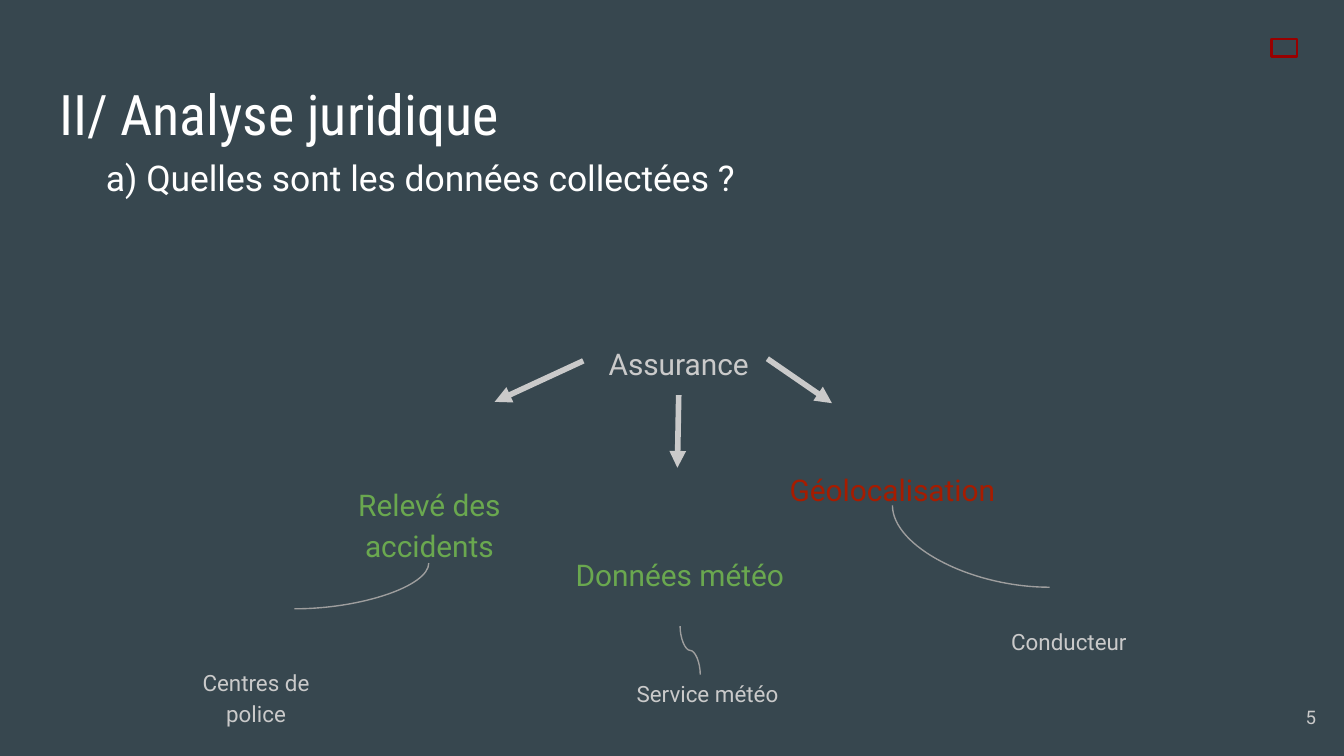
from lxml.etree import SubElement
from pptx import Presentation
from pptx.dml.color import RGBColor
from pptx.enum.shapes import MSO_CONNECTOR as LINE, MSO_SHAPE as SHAPE
from pptx.enum.text import MSO_ANCHOR as ANCHOR, MSO_AUTO_SIZE as FIT, PP_ALIGN as ALIGN
from pptx.oxml.ns import qn
from pptx.util import Pt

GREY, GREEN, RED, WHITE = "CACACA", "6AA84F", "A61C00", "FFFFFF"
MARGIN = 7.2


def rgb(color):
    return RGBColor.from_string(color)


def write(sp, text, size, color, align, font="Roboto", anchor=ANCHOR.TOP):
    tf = sp.text_frame
    tf.text = text
    tf.word_wrap = True
    tf.auto_size = FIT.NONE
    tf.vertical_anchor = anchor
    tf.margin_left = tf.margin_right = tf.margin_top = tf.margin_bottom = Pt(MARGIN)
    p = tf.paragraphs[0]
    p.alignment = align
    p.font.name, p.font.size, p.font.color.rgb = font, Pt(size), rgb(color)
    return p


prs = Presentation()
prs.slide_width, prs.slide_height = Pt(720), Pt(405)
s = prs.slides.add_slide(prs.slide_layouts[5])
s.background.fill.solid()
s.background.fill.fore_color.rgb = rgb("37474F")

# Title
title = s.shapes.title
title.left, title.top, title.width, title.height = Pt(24.5), Pt(35.3), Pt(671), Pt(45.4)
write(title, "II/ Analyse juridique", 30, WHITE, ALIGN.LEFT, "Roboto Condensed")

# Subtitle and slide number
subtitle = s.shapes.add_textbox(Pt(49.7), Pt(76.3), Pt(434.2), Pt(63.4))
write(subtitle, "a) Quelles sont les données collectées ?", 19, WHITE, ALIGN.LEFT)
number = s.shapes.add_textbox(Pt(668.9), Pt(368.6), Pt(43.2), Pt(31))
write(number, "5", 10, GREY, ALIGN.RIGHT, anchor=ANCHOR.MIDDLE)

# Diagram labels: left, top, width, height
labels = [
    ("Assurance", 16, GREY, 312.5, 175, 102.2, 36.7),
    ("Relevé des accidents", 16, GREEN, 164.9, 250.6, 130.3, 51.1),
    ("Géolocalisation", 16, RED, 411.1, 242.6, 133.9, 28.8),
    ("Données météo ", 16, GREEN, 301, 288, 130.3, 43.9),
    ("Conducteur", 12, GREY, 527, 326.9, 91.4, 36.7),
    ("Centres de police", 12, GREY, 92.9, 349.2, 88.6, 36.7),
    ("Service météo", 12, GREY, 325.4, 355, 107.3, 55.4),
]
nodes = {}
for text, size, color, *box in labels:
    sp = s.shapes.add_textbox(*map(Pt, box))
    p = write(sp, text, size, color, ALIGN.CENTER)
    p.line_spacing = 1.15
    p.space_after = Pt(16)
    nodes[text] = sp

# Arrows from the insurer to its data: ends, joined side
lines = []
arrows = [
    ((312.5, 193.3, 265, 215.3), 1),
    ((411.1, 192.2, 445.7, 216), None),
    ((363.6, 211.7, 362.9, 250.6), 2),
]
for ends, side in arrows:
    cxn = s.shapes.add_connector(LINE.STRAIGHT, *map(Pt, ends))
    if side is not None:
        cxn.begin_connect(nodes["Assurance"], side)
    cxn.line.color.rgb, cxn.line.width = rgb(GREY), Pt(3)
    SubElement(cxn.line._get_or_add_ln(), qn("a:tailEnd"), type="triangle")
    lines.append(cxn)

# Curves from the data to their sources, turned so that they leave downwards
curves = [
    (478.1, 270.7, 562.3, 314.6, "curvedConnector2"),
    (229.7, 301.7, 157.7, 326.2, "curvedConnector2"),
    (364.3, 335.5, 375.1, 361.4, "curvedConnector3"),
]
for x1, y1, x2, y2, preset in curves:
    w, h = y2 - y1, abs(x2 - x1)
    left, top = (x1 + x2 - w) / 2, (y1 + y2 - h) / 2
    cxn = s.shapes.add_connector(LINE.CURVE, Pt(left), Pt(top), Pt(left + w), Pt(top + h))
    cxn.line.color.rgb, cxn.line.width = rgb("9E9E9E"), Pt(0.75)
    spPr = cxn._element.spPr
    spPr.find(qn("a:prstGeom")).set("prst", preset)
    xfrm = spPr.find(qn("a:xfrm"))
    if x2 > x1:
        xfrm.set("rot", str(270 * 60000))
        xfrm.set("flipH", "1")
    else:
        xfrm.set("rot", str(90 * 60000))
    lines.append(cxn)

for cxn in lines:
    SubElement(cxn._element.spPr, qn("a:effectLst"))

# Corner frame
frame = s.shapes.add_shape(SHAPE.RECTANGLE, Pt(681.1), Pt(20.9), Pt(13.7), Pt(9.4))
frame.shadow.inherit = False
frame.fill.background()
frame.line.color.rgb, frame.line.width = rgb("980000"), Pt(1.5)

prs.save("out.pptx")
